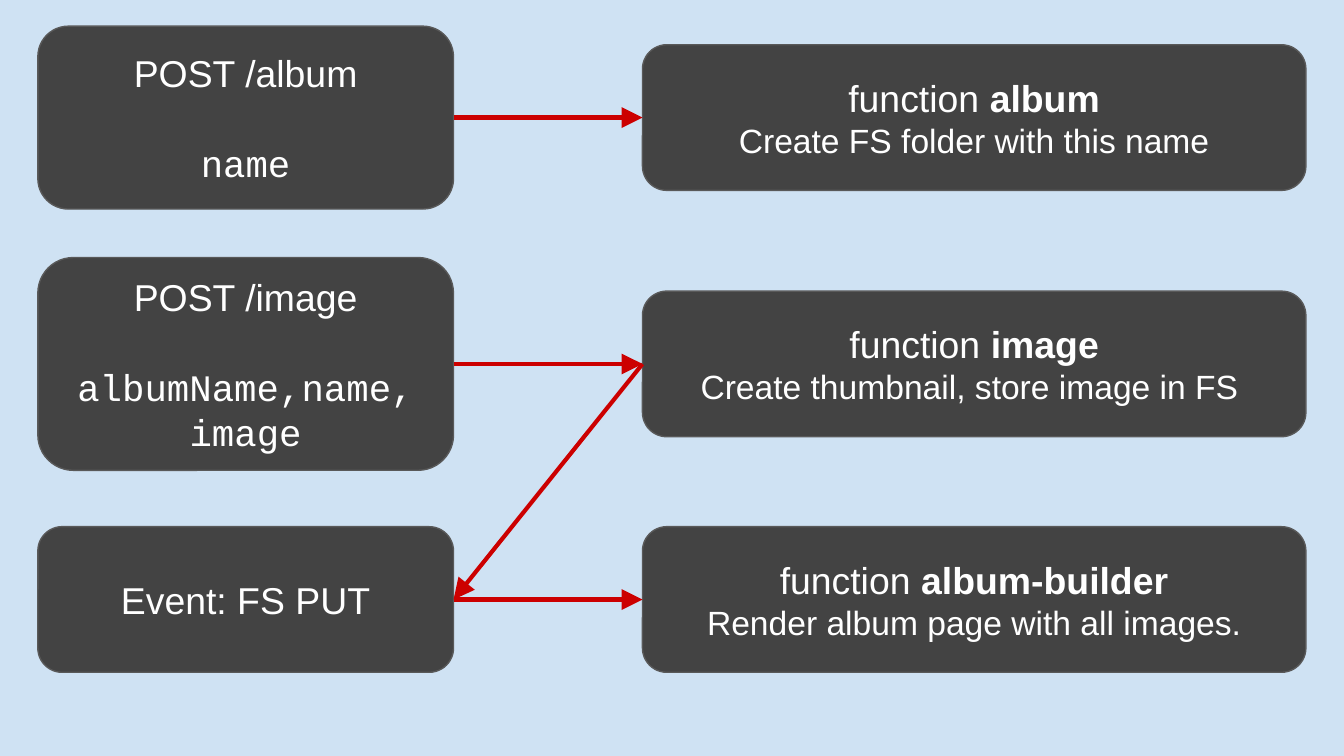
"""Build a slide that maps API requests and events to the functions they trigger."""
import pptx
import pptx.dml.color
import pptx.enum.shapes
import pptx.enum.text
import pptx.oxml
import pptx.oxml.ns
import pptx.util

Pt = pptx.util.Pt

FLOWS = [
    {"trigger": "POST /album", "fields": "name", "height": 98, "middle": 63,
     "function": "album", "task": "Create FS folder with this name"},
    {"trigger": "POST /image", "fields": "albumName,name, image", "height": 114, "middle": 195,
     "function": "image", "task": "Create thumbnail, store image in FS "},
    {"trigger": "Event: FS PUT", "fields": "", "height": 78, "middle": 321.2,
     "function": "album-builder", "task": "Render album page with all images."},
]
TRIGGER_LEFT, TRIGGER_WIDTH = 20.3, 222.7
FUNCTION_LEFT, FUNCTION_WIDTH, FUNCTION_HEIGHT = 344.2, 355.4, 78
LEFT_SIDE, RIGHT_SIDE = 1, 3


def color(value):
    return pptx.dml.color.RGBColor.from_string(value)


def add_box(slide, left, middle, width, height):
    box = slide.shapes.add_shape(
        pptx.enum.shapes.MSO_SHAPE.ROUNDED_RECTANGLE,
        Pt(left), Pt(middle - height / 2), Pt(width), Pt(height))
    box.shadow.inherit = False
    box.fill.solid()
    box.fill.fore_color.rgb = color("434343")
    box.line.color.rgb = color("595959")
    box.line.width = Pt(0.75)
    frame = box.text_frame
    frame.word_wrap = True
    frame.vertical_anchor = pptx.enum.text.MSO_ANCHOR.MIDDLE
    frame.margin_left = frame.margin_right = frame.margin_top = frame.margin_bottom = Pt(7.2)
    return box


def write_line(paragraph, words, size=20, font="Arial", bold_words=""):
    paragraph.alignment = pptx.enum.text.PP_ALIGN.CENTER
    paragraph.font.size = Pt(size)
    paragraph.font.name = font
    paragraph.font.color.rgb = color("FFFFFF")
    paragraph.add_run().text = words
    if bold_words:
        emphasis = paragraph.add_run()
        emphasis.text = bold_words
        emphasis.font.bold = True


def add_arrow(slide, start, start_side, end, end_side):
    arrow = slide.shapes.add_connector(pptx.enum.shapes.MSO_CONNECTOR.STRAIGHT, 0, 0, 0, 0)
    arrow.begin_connect(start, start_side)
    arrow.end_connect(end, end_side)
    arrow.line.color.rgb = color("CC0000")
    arrow.line.width = Pt(2.25)
    head = pptx.oxml.parse_xml(
        f'<a:tailEnd {pptx.oxml.ns.nsdecls("a")} type="triangle" w="lg" len="lg"/>')
    arrow.line._get_or_add_ln().append(head)
    arrow._element.spPr.append(pptx.oxml.parse_xml(f'<a:effectLst {pptx.oxml.ns.nsdecls("a")}/>'))


def main():
    deck = pptx.Presentation()
    deck.slide_width, deck.slide_height = Pt(720), Pt(405)
    slide = deck.slides.add_slide(deck.slide_layouts[6])
    slide.background.fill.solid()
    slide.background.fill.fore_color.rgb = color("CFE2F3")

    triggers, functions = [], []
    for flow in FLOWS:
        function = add_box(slide, FUNCTION_LEFT, flow["middle"], FUNCTION_WIDTH, FUNCTION_HEIGHT)
        write_line(function.text_frame.paragraphs[0], "function ", bold_words=flow["function"])
        write_line(function.text_frame.add_paragraph(), flow["task"], size=18)
        functions.append(function)

        trigger = add_box(slide, TRIGGER_LEFT, flow["middle"], TRIGGER_WIDTH, flow["height"])
        write_line(trigger.text_frame.paragraphs[0], flow["trigger"])
        if flow["fields"]:
            fields = trigger.text_frame.add_paragraph()
            write_line(fields, flow["fields"], font="Courier New")
            fields.space_before = Pt(24)
        triggers.append(trigger)

    for trigger, function in zip(triggers, functions):
        add_arrow(slide, trigger, RIGHT_SIDE, function, LEFT_SIDE)
    add_arrow(slide, functions[1], LEFT_SIDE, triggers[2], RIGHT_SIDE)

    deck.save("out.pptx")


if __name__ == "__main__":
    main()
